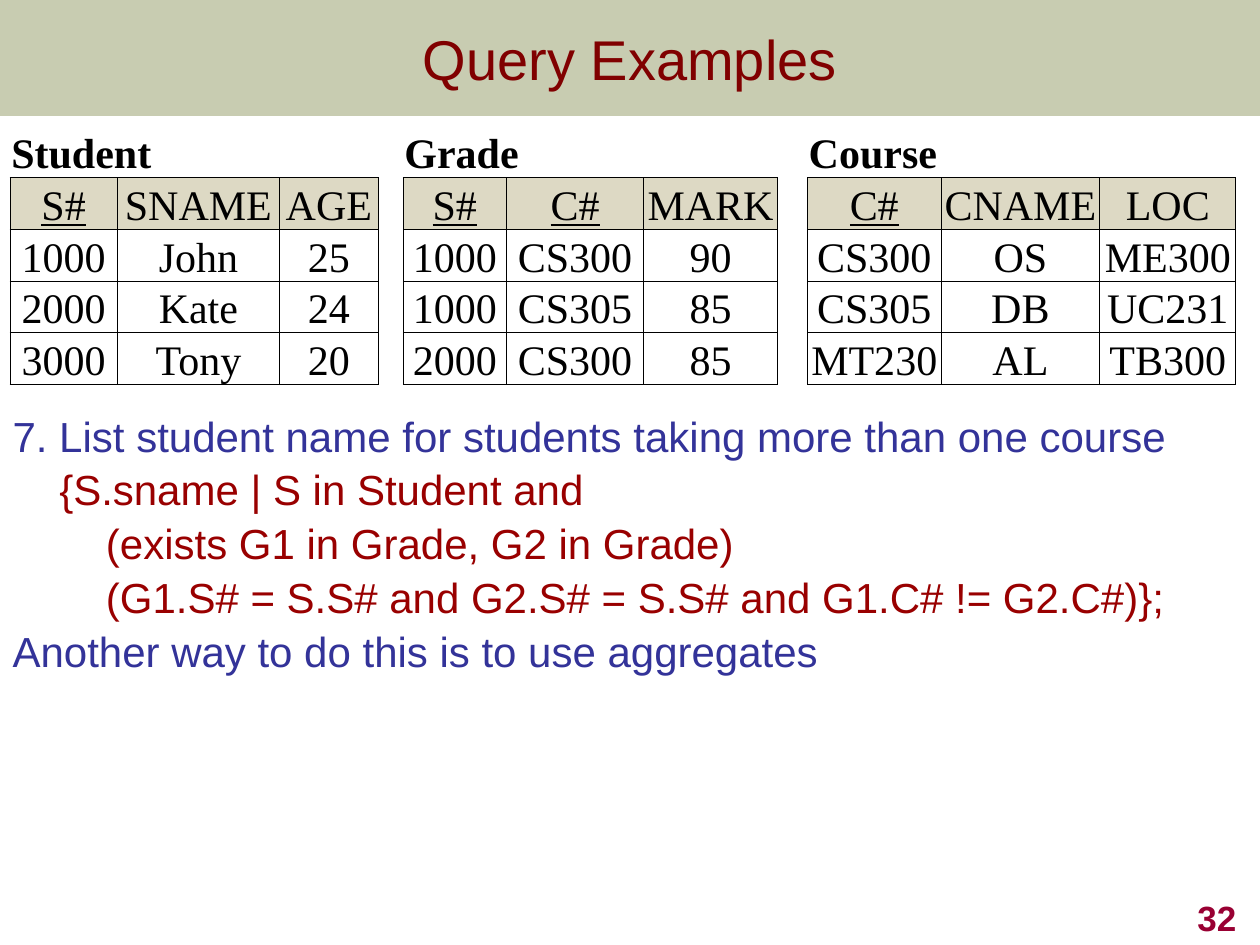
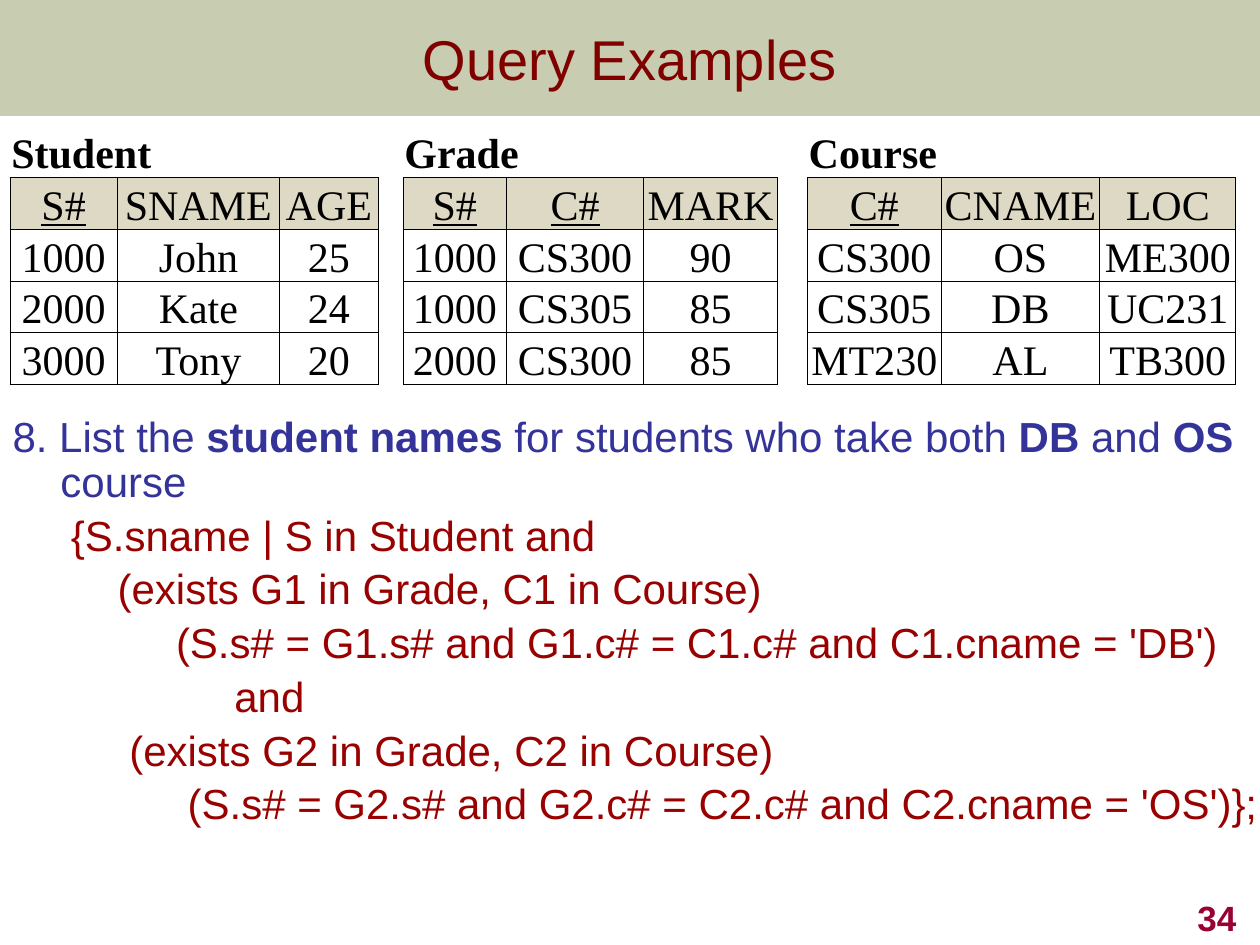
from pptx import Presentation
from pptx.dml.color import RGBColor
from pptx.enum.shapes import MSO_SHAPE
from pptx.enum.text import MSO_ANCHOR, MSO_AUTO_SIZE, PP_ALIGN
from pptx.oxml.ns import qn
from pptx.util import Inches, Pt
from lxml.etree import SubElement

BLACK = RGBColor(0x00, 0x00, 0x00)
WHITE = RGBColor(0xFF, 0xFF, 0xFF)
OLIVE = RGBColor(0x67, 0x72, 0x28)
MAROON = RGBColor(0x80, 0x00, 0x00)
QUESTION_BLUE = RGBColor(0x33, 0x33, 0x99)
QUERY_RED = RGBColor(0x99, 0x00, 0x00)
NUMBER_RED = RGBColor(0x99, 0x00, 0x33)
HEADER_TAN = RGBColor(0xDD, 0xD9, 0xC4)
SANS, SERIF = "Arial", "Times New Roman"

SLIDE_W, SLIDE_H = Inches(10), Inches(7.5)
BAND_H = Inches(0.92)
BAND_OPACITY = 36
BODY_TOP = Inches(3.25)
HANGING = Inches(0.38)
INDENT_STEP = Pt(6.67)
ROW_H = Inches(0.38)
CELL_MARGIN = Inches(0.01)
SIDES = "LRTB"

# Each relation: name, key columns, column widths in inches, header and rows
RELATIONS = [
    ("Student", {"S#"}, [0.85, 1.29, 0.78],
     [["S#", "SNAME", "AGE"], ["1000", "John", "25"],
      ["2000", "Kate", "24"], ["3000", "Tony", "20"]]),
    ("Grade", {"S#", "C#"}, [0.82, 1.09, 1.06],
     [["S#", "C#", "MARK"], ["1000", "CS300", "90"],
      ["1000", "CS305", "85"], ["2000", "CS300", "85"]]),
    ("Course", {"C#"}, [1.06, 1.26, 1.08],
     [["C#", "CNAME", "LOC"], ["CS300", "OS", "ME300"],
      ["CS305", "DB", "UC231"], ["MT230", "AL", "TB300"]]),
]
GAP_WIDTHS = [0.2, 0.24]

# Each line: indent in steps (None for a hanging question), then its runs;
# every second run is bold
MORE_THAN_ONE_COURSE = [
    (None, ["7. List student name for students taking more than one course"]),
    (4, ["{S.sname | S in Student and"]),
    (8, ["(exists G1 in Grade, G2 in Grade)"]),
    (8, ["(G1.S# = S.S# and G2.S# = S.S# and G1.C# != G2.C#)};"]),
    (None, ["Another way to do this is to use aggregates"]),
]
BOTH_COURSES = [
    (None, ["8. List the ", "student names ", "for students who take both ",
            "DB", " and ", "OS", " course"]),
    (5, ["{S.sname | S in Student and"]),
    (9, ["(exists G1 in Grade, C1 in Course)"]),
    (14, ["(S.s# = G1.s# and G1.c# = C1.c# and C1.cname = 'DB')"]),
    (19, ["and"]),
    (10, ["(exists G2 in Grade, C2 in Course)"]),
    (15, ["(S.s# = G2.s# and G2.c# = C2.c# and C2.cname = 'OS')};"]),
]


def add_run(paragraph, text, size, color, font=SANS, bold=False, underline=False):
    run = paragraph.add_run()
    run.text = text
    run.font.size, run.font.name = Pt(size), font
    run.font.bold, run.font.underline = bold, underline
    run.font.color.rgb = color


def place(shape, left, top, width, height):
    shape.left, shape.top, shape.width, shape.height = left, top, width, height


def add_title(slide, text):
    """Fill the title and lay the translucent band behind it."""
    title = slide.shapes.title
    place(title, 0, 0, SLIDE_W, BAND_H)
    title.text_frame.auto_size = MSO_AUTO_SIZE.NONE
    title.text_frame.vertical_anchor = MSO_ANCHOR.MIDDLE
    paragraph = title.text_frame.paragraphs[0]
    paragraph.alignment = PP_ALIGN.CENTER
    add_run(paragraph, text, 32, MAROON)

    band = slide.shapes.add_shape(MSO_SHAPE.RECTANGLE, 0, 0, SLIDE_W, BAND_H)
    band.shadow.inherit = False
    band.line.fill.background()
    band.fill.solid()
    band.fill.fore_color.rgb = OLIVE
    tint = band.element.spPr.find(qn("a:solidFill"))[0]
    SubElement(tint, qn("a:alpha"), val=str(BAND_OPACITY * 1000))
    title.element.addprevious(band.element)


def add_query(slide, lines, width, height):
    body = slide.placeholders[1]
    place(body, 0, BODY_TOP, width, height)
    frame = body.text_frame
    frame.auto_size = MSO_AUTO_SIZE.NONE
    frame.margin_right = 0
    for index, (steps, runs) in enumerate(lines):
        paragraph = frame.add_paragraph() if index else frame.paragraphs[0]
        is_question = steps is None
        margin = HANGING if is_question else steps * INDENT_STEP
        properties = paragraph._p.get_or_add_pPr()
        properties.set("marL", str(margin))
        properties.set("indent", str(-HANGING if is_question else 0))
        SubElement(properties, qn("a:buNone"))
        paragraph.line_spacing = 0.9
        paragraph.space_before = Pt(4.8 if index else 0)
        for position, text in enumerate(runs):
            add_run(paragraph, text, 24,
                    QUESTION_BLUE if is_question else QUERY_RED,
                    bold=position % 2 == 1)


def style_cell(cell, fill, ruled_sides):
    """Set margins, fill and a thin black rule on the given sides only."""
    cell.margin_left = cell.margin_right = cell.margin_top = CELL_MARGIN
    cell.margin_bottom = 0
    cell.vertical_anchor = MSO_ANCHOR.BOTTOM
    properties = cell._tc.get_or_add_tcPr()
    for side in SIDES:
        rule = SubElement(properties, qn(f"a:ln{side}"), w=str(Pt(0.5)))
        if side in ruled_sides:
            ink = SubElement(rule, qn("a:solidFill"))
            SubElement(ink, qn("a:srgbClr"), val=str(BLACK))
        else:
            SubElement(rule, qn("a:noFill"))
    cell.fill.solid()
    cell.fill.fore_color.rgb = fill


def fill_relation(table, first, name, keys, rows):
    """Write one named relation into the grid, from column first on."""
    columns = range(first, first + len(rows[0]))
    for column in columns:
        style_cell(table.cell(0, column), WHITE, "B")
    heading = table.cell(0, first)
    heading.merge(table.cell(0, columns[-1]))
    add_run(heading.text_frame.paragraphs[0], name, 24, BLACK, SERIF, bold=True)
    for row, values in enumerate(rows, start=1):
        for column, value in zip(columns, values):
            cell = table.cell(row, column)
            style_cell(cell, HEADER_TAN if row == 1 else WHITE, SIDES)
            paragraph = cell.text_frame.paragraphs[0]
            paragraph.alignment = PP_ALIGN.CENTER
            add_run(paragraph, value, 24, BLACK, SERIF,
                    underline=row == 1 and value in keys)


def add_relations(slide):
    widths = list(RELATIONS[0][2])
    for gap, relation in zip(GAP_WIDTHS, RELATIONS[1:]):
        widths += [gap, *relation[2]]
    row_count = 1 + len(RELATIONS[0][3])
    table = slide.shapes.add_table(
        row_count, len(widths), Inches(0.08), Inches(1),
        Inches(sum(widths)), ROW_H * row_count).table
    table.first_row = table.horz_banding = False
    for column, width in zip(table.columns, widths):
        column.width = Inches(width)
    first = 0
    for name, keys, relation_widths, rows in RELATIONS:
        fill_relation(table, first, name, keys, rows)
        gap_column = first + len(relation_widths)
        if gap_column < len(widths):
            for row in range(row_count):
                style_cell(table.cell(row, gap_column), WHITE, "LR" if row else "")
        first = gap_column + 1


def add_page_number(slide, number):
    box = slide.shapes.add_textbox(Inches(7.83), Inches(7), Inches(2.08), Inches(0.5))
    box.text_frame.word_wrap = True
    box.text_frame.vertical_anchor = MSO_ANCHOR.BOTTOM
    paragraph = box.text_frame.paragraphs[0]
    paragraph.alignment = PP_ALIGN.RIGHT
    add_run(paragraph, str(number), 20, NUMBER_RED, bold=True)


def add_query_slide(deck, number, lines, body_width, body_height):
    slide = deck.slides.add_slide(deck.slide_layouts[1])
    add_title(slide, "Query Examples")
    add_query(slide, lines, body_width, body_height)
    add_page_number(slide, number)
    add_relations(slide)


def main():
    deck = Presentation()
    deck.slide_width, deck.slide_height = SLIDE_W, SLIDE_H
    add_query_slide(deck, 32, MORE_THAN_ONE_COURSE, Inches(9.6), Inches(2.67))
    add_query_slide(deck, 34, BOTH_COURSES, SLIDE_W, Inches(3.75))
    deck.save("out.pptx")


if __name__ == "__main__":
    main()
